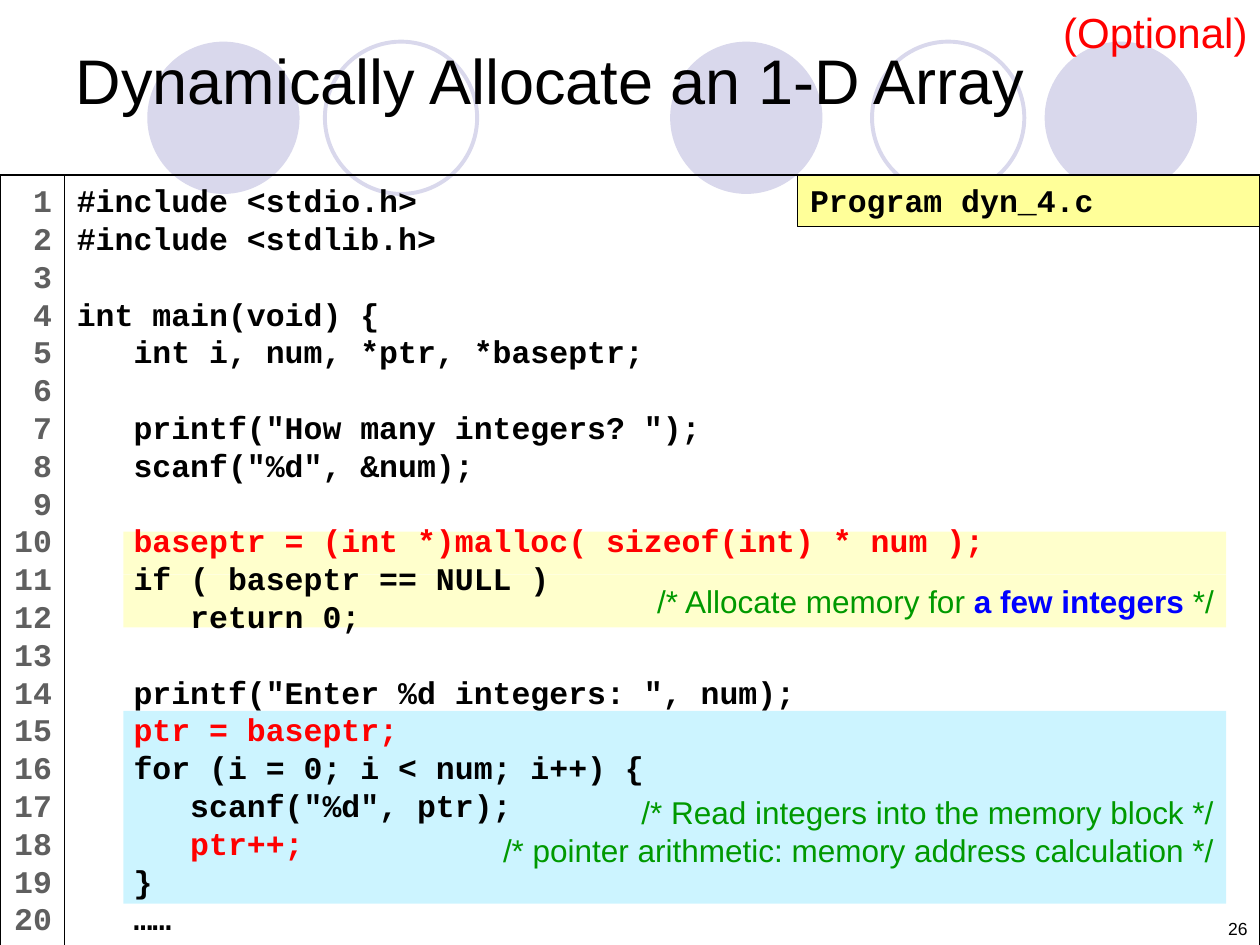
from dataclasses import dataclass

from lxml import etree
from pptx import Presentation
from pptx import util as u
from pptx.dml.color import RGBColor
from pptx.enum import shapes, text
from pptx.oxml import ns

Cm, Pt = u.Cm, u.Pt
RIGHT, LEFT = text.PP_ALIGN.RIGHT, text.PP_ALIGN.LEFT
TOP, MIDDLE, BOTTOM = (text.MSO_ANCHOR.TOP, text.MSO_ANCHOR.MIDDLE,
                       text.MSO_ANCHOR.BOTTOM)


@dataclass(frozen=True)
class Theme:
    """Colours, fonts and type sizes of the slide."""
    ink: str = "000000"
    paper: str = "FFFFFF"
    circle: str = "D9D8EC"
    alert: str = "FF0000"
    comment: str = "009900"
    emphasis: str = "0000FF"
    line_number: str = "5F5F5F"
    allocate: str = "FFFF00"
    read: str = "00CCFF"
    label: str = "FFFF99"
    sans: str = "Arial"
    mono: str = "Courier New"
    title: int = 36
    badge: int = 24
    body: int = 18
    small: int = 10
    leading: float = 21.6


THEME = Theme()
CODE_FONT = {"name": THEME.mono, "size": Pt(THEME.body), "bold": True}
COMMENT_FONT = {"name": THEME.sans, "size": Pt(THEME.body), "bold": False}

PROGRAM = '''#include <stdio.h>
#include <stdlib.h>

int main(void) {
   int i, num, *ptr, *baseptr;

   printf("How many integers? ");
   scanf("%d", &num);

   baseptr = (int *)malloc( sizeof(int) * num );
   if ( baseptr == NULL )
      return 0;

   printf("Enter %d integers: ", num);
   ptr = baseptr;
   for (i = 0; i < num; i++) {
      scanf("%d", ptr);
      ptr++;
   }
   ……'''.split("\n")
POINTER_LINES = (10, 15, 18)


def set_all(target, values):
    """Set every attribute named in a dict of format values."""
    for name, value in values.items():
        setattr(target, name, value)


def write(shape, lines, font, align=LEFT, anchor=TOP, leading=None, **frame_format):
    """Write lines, each a list of (words, colour, extra format) runs."""
    frame = shape.text_frame
    set_all(frame, {"word_wrap": True, "vertical_anchor": anchor, **frame_format})
    for index, runs in enumerate(lines):
        line = frame.paragraphs[0] if index == 0 else frame.add_paragraph()
        line.alignment = align
        if leading:
            line.line_spacing = Pt(leading)
        set_all(line.font, font)
        for words, colour, extra in runs:
            run = line.add_run()
            run.text = words
            set_all(run.font, {**font, **extra})
            run.font.color.rgb = RGBColor.from_string(colour)


def add_panel(slide, box, fill=None, line=None, width=0.75, alpha=None,
              kind=shapes.MSO_SHAPE.RECTANGLE):
    """Add a flat preset shape with optional fill, outline and opacity."""
    panel = slide.shapes.add_shape(kind, *map(Cm, box))
    panel.shadow.inherit = False
    if fill:
        panel.fill.solid()
        panel.fill.fore_color.rgb = RGBColor.from_string(fill)
    else:
        panel.fill.background()
    if alpha:
        colour = panel.fill._xPr.find(".//" + ns.qn("a:srgbClr"))
        etree.SubElement(colour, ns.qn("a:alpha")).set("val", str(alpha * 1000))
    if line:
        panel.line.color.rgb = RGBColor.from_string(line)
        panel.line.width = Pt(width)
    else:
        panel.line.fill.background()
    return panel


def add_circles(slide, box):
    """Draw the row of solid and ring circles behind the title."""
    left, top, _, diameter = box
    ring = {"line": THEME.circle, "width": 2.25}
    solid = {"fill": THEME.circle}
    for offset, style in ((0, solid), (3.58, ring), (10.54, solid),
                          (14.61, ring), (18.09, solid)):
        add_panel(slide, (left + offset, top, diameter, diameter),
                  kind=shapes.MSO_SHAPE.OVAL, **style)


def add_note(slide, box, words, size, colour, anchor=TOP):
    """Add a right-aligned line of plain text."""
    note = slide.shapes.add_textbox(*map(Cm, box))
    write(note, [[(words, colour, {})]], {"name": THEME.sans, "size": Pt(size)},
          RIGHT, anchor)


def add_highlights(slide, box):
    """Tint the allocation and reading blocks and add their comments."""
    left, top, width, _ = box
    add_panel(slide, (left, top, width, 0.85), THEME.allocate, alpha=20)
    allocate = add_panel(slide, (left, top + 0.86, width, 1.07),
                         THEME.allocate, alpha=20)
    write(allocate, [[("/* Allocate memory for ", THEME.comment, {}),
                      ("a few integers", THEME.emphasis, {"bold": True}),
                      (" */", THEME.comment, {})]],
          COMMENT_FONT, RIGHT, MIDDLE)
    read = add_panel(slide, (left, top + 3.61, width, 3.89), THEME.read, alpha=20)
    comments = ("/* Read integers into the memory block */",
                "/* pointer arithmetic: memory address calculation */")
    write(read, [[(words, THEME.comment, {})] for words in comments],
          COMMENT_FONT, RIGHT, BOTTOM, THEME.leading, margin_bottom=Cm(0.71))


def add_listing(slide, box):
    """Place the program, its line numbers and its file label in the box."""
    left, top, width, height = box
    gutter, label_width = 1.3, 9.32
    add_highlights(slide, (left + 2.49, top + 7.19, 22.23, 7.5))
    code = add_panel(slide, (left + gutter, top, width - gutter, height),
                     line=THEME.ink)
    write(code, [[(words, THEME.alert if number in POINTER_LINES else THEME.ink, {})]
                 if words else [] for number, words in enumerate(PROGRAM, 1)],
          CODE_FONT, leading=THEME.leading)
    numbers = add_panel(slide, (left, top, gutter, height), THEME.paper, THEME.ink)
    write(numbers, [[(str(number), THEME.line_number, {})]
                    for number in range(1, len(PROGRAM) + 1)],
          CODE_FONT, RIGHT, leading=THEME.leading, margin_left=0)
    label = add_panel(slide, (left + width - label_width, top, label_width, 1.04),
                      THEME.label, THEME.ink)
    write(label, [[("Program dyn_4.c", THEME.ink, {})]], CODE_FONT,
          leading=THEME.leading)


def place_title(slide, box):
    """Move the title placeholder into the box, in front of the circles."""
    title = slide.shapes.title
    set_all(title, dict(zip(("left", "top", "width", "height"), map(Cm, box))))
    write(title, [[("Dynamically Allocate an 1-D Array", THEME.ink, {})]],
          {"name": THEME.sans, "size": Pt(THEME.title)}, anchor=MIDDLE)
    slide.shapes._spTree.append(title._element)


def main():
    """Build the slide and save it."""
    deck = Presentation()
    set_all(deck, {"slide_width": Cm(25.4), "slide_height": Cm(19.05)})
    slide = deck.slides.add_slide(deck.slide_layouts[5])
    add_circles(slide, (2.97, 0.84, 21.16, 3.07))
    add_note(slide, (19.48, 17.78, 5.92, 1.27), "26", THEME.small, THEME.ink, BOTTOM)
    add_listing(slide, (0, 3.53, 25.4, 15.54))
    place_title(slide, (1.27, 0, 22.86, 3.18))
    add_note(slide, (21.16, 0, 4.24, 1.27), "(Optional)", THEME.badge, THEME.alert)
    deck.save("out.pptx")


if __name__ == "__main__":
    main()
